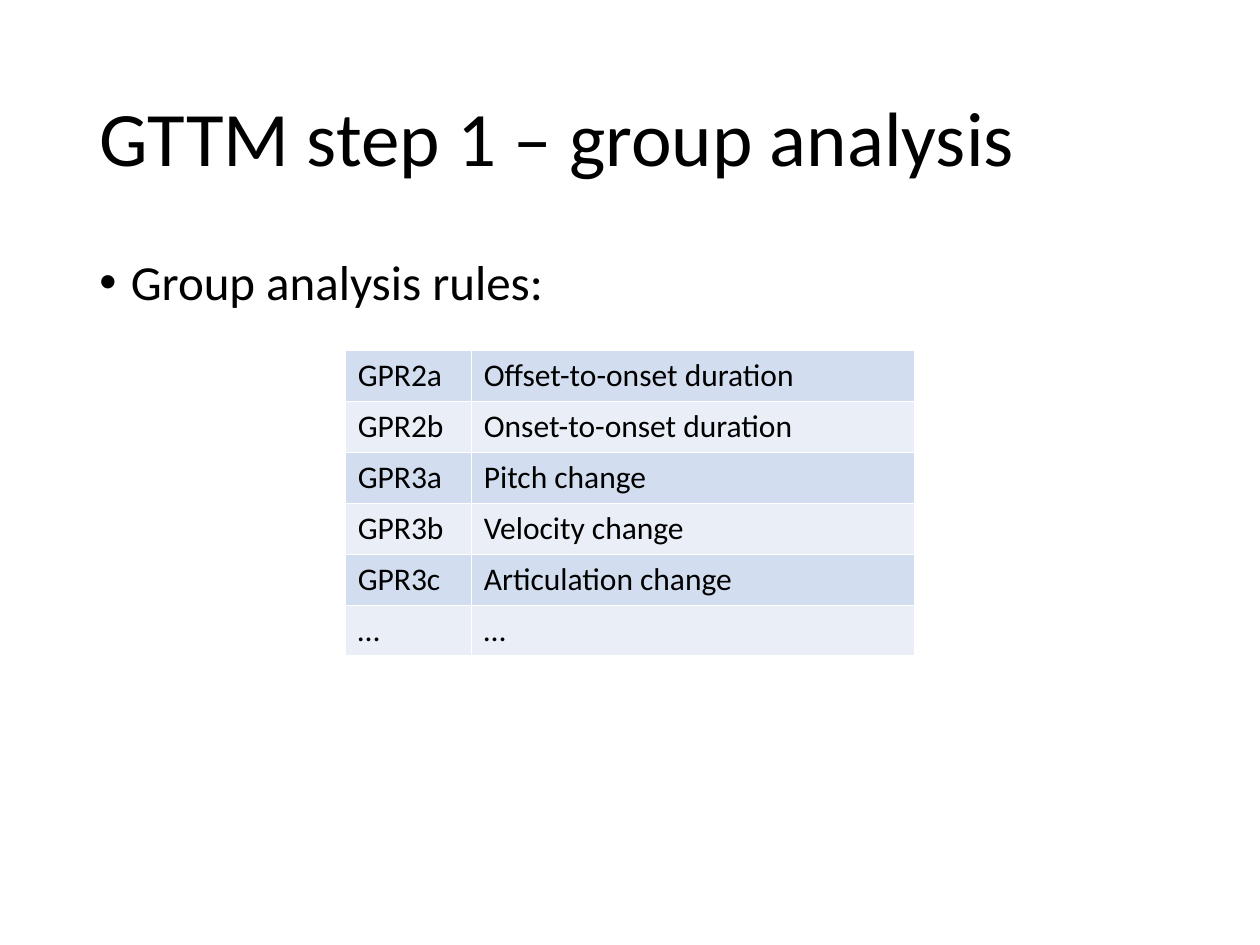
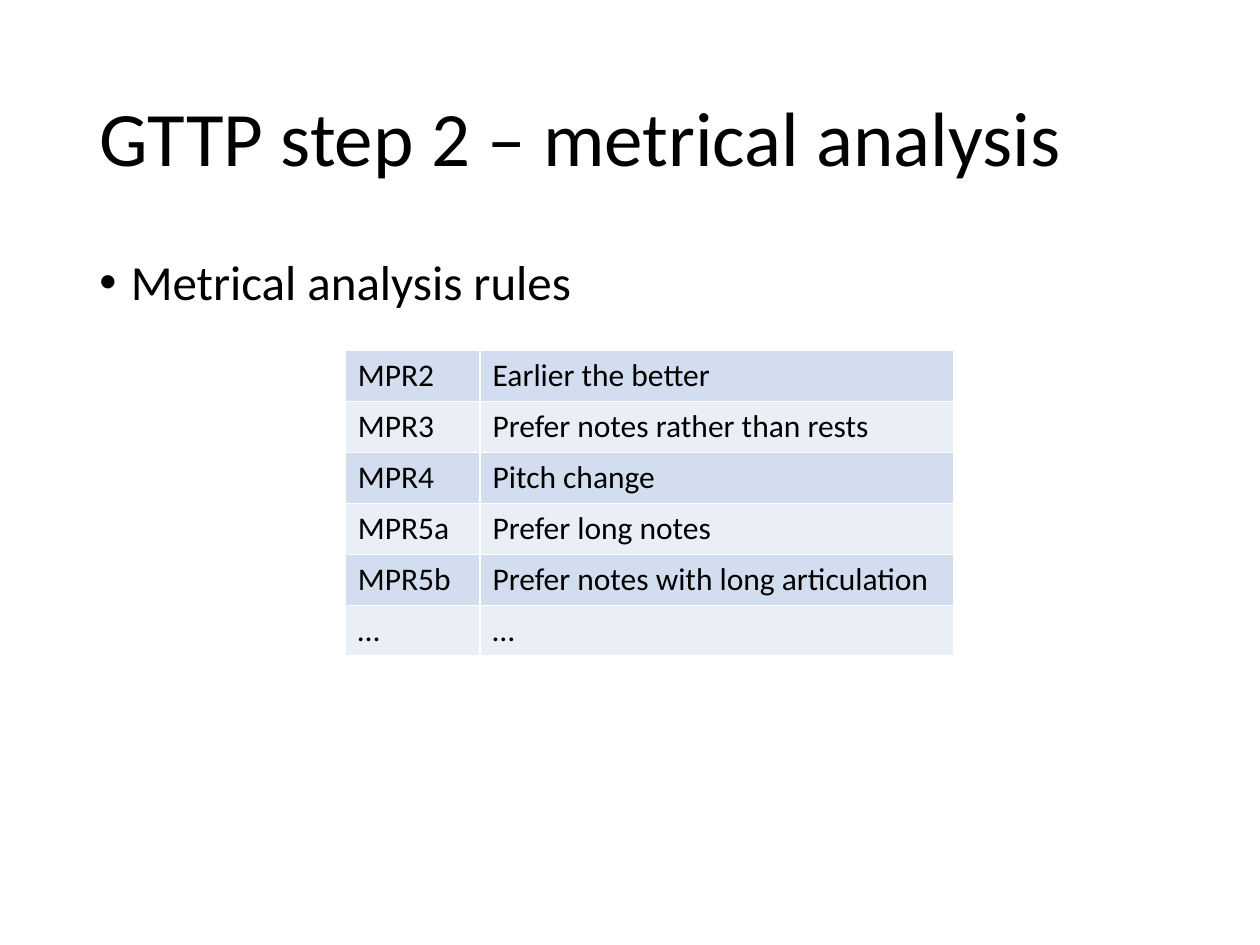
from lxml import etree
from pptx import Presentation
from pptx.dml.color import RGBColor
from pptx.enum.text import MSO_ANCHOR
from pptx.oxml.ns import qn
from pptx.util import Inches, Pt

MIDDLE = MSO_ANCHOR.MIDDLE
TOP = MSO_ANCHOR.TOP
BLACK = RGBColor(0x00, 0x00, 0x00)
BAND_COLORS = (RGBColor(0xD2, 0xDE, 0xEF), RGBColor(0xEA, 0xEF, 0xF7))
FONT_NAME = "Calibri"
LEFT, WIDTH = 0.69, 8.62
TABLE_LEFT, TABLE_TOP, ROW_HEIGHT = 2.74, 2.78, 2.43 / 6

GROUP_RULES = [
    ("GPR2a", "Offset-to-onset duration"),
    ("GPR2b", "Onset-to-onset duration"),
    ("GPR3a", "Pitch change"),
    ("GPR3b", "Velocity change"),
    ("GPR3c", "Articulation change"),
    ("…", "…"),
]
METRICAL_RULES = [
    ("MPR2", "Earlier the better"),
    ("MPR3", "Prefer notes rather than rests"),
    ("MPR4", "Pitch change"),
    ("MPR5a", "Prefer long notes"),
    ("MPR5b", "Prefer notes with long articulation"),
    ("…", "…"),
]


class RuleDeck:
    """Builds slides that list music analysis rules in one shared style."""

    def __init__(self):
        self.deck = Presentation()
        self.deck.slide_width = Inches(10)
        self.deck.slide_height = Inches(7.5)
        self.slide = None

    def add_slide(self):
        self.slide = self.deck.slides.add_slide(self.deck.slide_layouts[6])

    def format_text(self, paragraph, size):
        for span in paragraph.runs:
            span.font.name = FONT_NAME
            span.font.size = Pt(size)
            span.font.color.rgb = BLACK

    def add_text(self, text, top, height, size, anchor):
        box = self.slide.shapes.add_textbox(
            Inches(LEFT), Inches(top), Inches(WIDTH), Inches(height))
        frame = box.text_frame
        frame.word_wrap = True
        frame.vertical_anchor = anchor
        frame.text = text
        para = frame.paragraphs[0]
        para.line_spacing = 0.9
        self.format_text(para, size)
        return para

    def add_title(self, text):
        self.add_text(text, 0.4, 1.45, 44, MIDDLE)

    def add_bullet(self, text):
        para = self.add_text(text, 2, 4.76, 28, TOP)
        properties = para._p.get_or_add_pPr()
        properties.set("marL", str(Inches(0.25)))
        properties.set("indent", str(-Inches(0.25)))
        etree.SubElement(properties, qn("a:buFont"), typeface="Arial")
        etree.SubElement(properties, qn("a:buChar"), char="•")

    def add_rule_table(self, rules, column_widths):
        table = self.slide.shapes.add_table(
            len(rules), len(column_widths), Inches(TABLE_LEFT), Inches(TABLE_TOP),
            Inches(sum(column_widths)), Inches(ROW_HEIGHT * len(rules))).table
        table.first_row = False
        for column, width in zip(table.columns, column_widths):
            column.width = Inches(width)
        for index, (row, rule) in enumerate(zip(table.rows, rules)):
            for cell, text in zip(row.cells, rule):
                cell.fill.solid()
                cell.fill.fore_color.rgb = BAND_COLORS[index % 2]
                cell.text_frame.text = text
                self.format_text(cell.text_frame.paragraphs[0], 18)

    def add_rule_slide(self, title, bullet, rules, column_widths):
        self.add_slide()
        self.add_title(title)
        self.add_bullet(bullet)
        self.add_rule_table(rules, column_widths)


def main():
    builder = RuleDeck()
    builder.add_rule_slide("GTTM step 1 – group analysis", "Group analysis rules:",
                           GROUP_RULES, (1, 3.52))
    builder.add_rule_slide("GTTP step 2 – metrical analysis", "Metrical analysis rules",
                           METRICAL_RULES, (1.07, 3.76))
    builder.deck.save("out.pptx")


if __name__ == "__main__":
    main()
